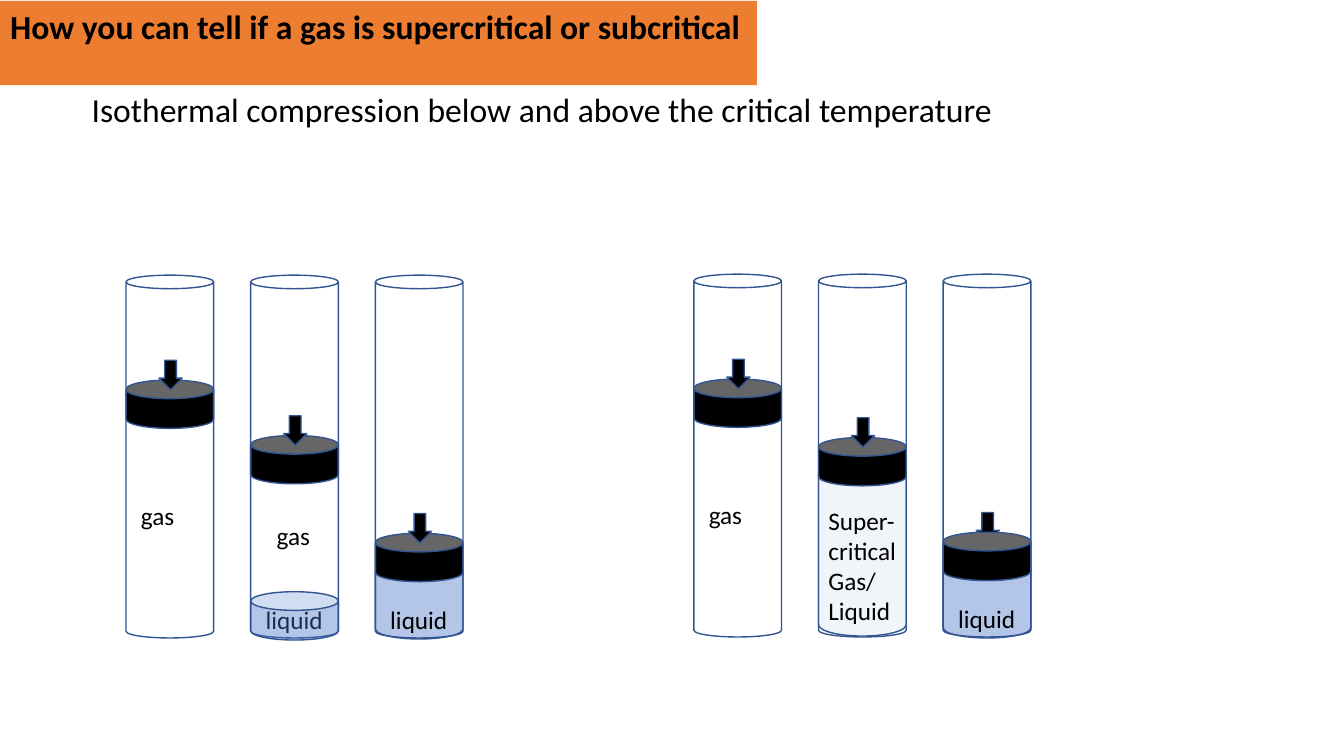
from dataclasses import dataclass

from lxml.etree import SubElement
from pptx import Presentation
from pptx.dml.color import RGBColor
from pptx.enum.shapes import MSO_SHAPE
from pptx.enum.text import MSO_ANCHOR, MSO_AUTO_SIZE, PP_ALIGN
from pptx.oxml.ns import qn
from pptx.util import Inches, Pt


@dataclass(frozen=True)
class Theme:
    font: str = "Calibri"
    heading: int = 24
    label: int = 18
    ink: str = "000000"
    banner: str = "ED7D31"
    fluid: str = "4472C4"
    outline: str = "325491"


@dataclass(frozen=True)
class Stage:
    piston: float
    labels: tuple
    fluid: tuple = ()
    fluid_in_front: bool = False
    arrow_in_front: bool = True


COLUMNS, ROWS = 160, 90
TUBE_W, TUBE_H, PISTON_H = 10.44, 43.2, 5.76
ARROW_W, ARROW_H, ARROW_X, ARROW_RISE = 2.76, 3.5, 3.93, 2.35
LABEL_W, LABEL_H, TALL_LABEL_H = 12.24, 4.8, 15.72
STAGE_PITCH = 14.84

GAS = Stage(12.48, (("gas", 0.6, 26.16),))
LIQUID_LABEL = ("liquid", 0.6, 38.64)
LIQUID_FLUID = (34.08, 9.24, 0.259, 40)
SERIES = [
    (15, 32.76, (
        GAS,
        Stage(19.08, (("gas", 1.92, 28.56), LIQUID_LABEL),
              (37.68, PISTON_H, 0.386, 40), fluid_in_front=True),
        Stage(30.72, (LIQUID_LABEL,), LIQUID_FLUID),
    )),
    (82.6, 32.64, (
        GAS,
        Stage(19.44, (("Super-critical Gas/\nLiquid", 0, 26.88),),
              (22.44, 20.64, 0.259, 7)),
        Stage(30.72, (LIQUID_LABEL,), LIQUID_FLUID, arrow_in_front=False),
    )),
]


class SlideBuilder:
    def __init__(self, prs, theme):
        self.theme = theme
        self.cell_w = prs.slide_width / COLUMNS
        self.cell_h = prs.slide_height / ROWS
        self.slide = prs.slides.add_slide(prs.slide_layouts[5])
        self.shapes = self.slide.shapes

    def box(self, x, y, w, h):
        return (round(x * self.cell_w), round(y * self.cell_h),
                round(w * self.cell_w), round(h * self.cell_h))

    def set_text(self, sp, text, size, bold=False, wrap=False):
        tf = sp.text_frame
        tf.text = text
        tf.word_wrap = wrap
        tf.auto_size = MSO_AUTO_SIZE.SHAPE_TO_FIT_TEXT
        tf.vertical_anchor = MSO_ANCHOR.TOP
        for p in tf.paragraphs:
            p.alignment = PP_ALIGN.LEFT
            p.font.name = self.theme.font
            p.font.size = Pt(size)
            p.font.bold = bold
            p.font.color.rgb = RGBColor.from_string(self.theme.ink)

    def title(self, text, *area):
        sp = self.slide.shapes.title
        sp.left, sp.top, sp.width, sp.height = self.box(*area)
        sp.fill.solid()
        sp.fill.fore_color.rgb = RGBColor.from_string(self.theme.banner)
        self.set_text(sp, text, self.theme.heading, bold=True)

    def text(self, text, *area, size, wrap=False):
        sp = self.shapes.add_textbox(*self.box(*area))
        self.set_text(sp, text, size, wrap=wrap)

    def shape(self, kind, *area, fill=None, alpha=None, adj=None):
        sp = self.shapes.add_shape(kind, *self.box(*area))
        sp.shadow.inherit = False
        sp.line.color.rgb = RGBColor.from_string(self.theme.outline)
        sp.line.width = Pt(1)
        if adj is not None:
            sp.adjustments[0] = adj
        if fill is None:
            sp.fill.background()
            return
        sp.fill.solid()
        sp.fill.fore_color.rgb = RGBColor.from_string(fill)
        if alpha is not None:
            color = sp._element.spPr.find(qn("a:solidFill")).find(qn("a:srgbClr"))
            SubElement(color, qn("a:alpha")).set("val", str(alpha * 1000))

    def fluid(self, x, y, top, height, adj, alpha):
        self.shape(MSO_SHAPE.CAN, x, y + top, TUBE_W, height,
                   fill=self.theme.fluid, alpha=alpha, adj=adj)

    def piston(self, x, y):
        self.shape(MSO_SHAPE.CAN, x, y, TUBE_W, PISTON_H,
                   fill=self.theme.ink, adj=0.386)

    def arrow(self, x, y):
        self.shape(MSO_SHAPE.DOWN_ARROW, x + ARROW_X, y - ARROW_RISE,
                   ARROW_W, ARROW_H, fill=self.theme.ink)

    def cylinder(self, x, y, stage):
        if stage.fluid and not stage.fluid_in_front:
            self.fluid(x, y, *stage.fluid)
        parts = [self.piston, self.arrow]
        if not stage.arrow_in_front:
            parts.reverse()
        for part in parts:
            part(x, y + stage.piston)
        self.shape(MSO_SHAPE.CAN, x, y, TUBE_W, TUBE_H, adj=0.155)
        for text, dx, dy in stage.labels:
            height = TALL_LABEL_H if "\n" in text else LABEL_H
            self.text(text, x + dx, y + dy, LABEL_W, height,
                      size=self.theme.label, wrap=True)
        if stage.fluid_in_front:
            self.fluid(x, y, *stage.fluid)

    def series(self, x, y, stages):
        self.shapes = self.slide.shapes.add_group_shape().shapes
        for i, stage in enumerate(stages):
            self.cylinder(x + i * STAGE_PITCH, y, stage)
        self.shapes = self.slide.shapes


def main():
    prs = Presentation()
    prs.slide_width, prs.slide_height = Inches(13.33), Inches(7.5)
    theme = Theme()
    s = SlideBuilder(prs, theme)
    s.title("How you can tell if a gas is supercritical or subcritical",
            0, 0.12, 90.12, 6)
    s.text("Isothermal compression below and above the critical temperature",
           9.72, 9.96, 111.5, 6, size=theme.heading)
    for x, y, stages in SERIES:
        s.series(x, y, stages)
    prs.save("out.pptx")


if __name__ == "__main__":
    main()
